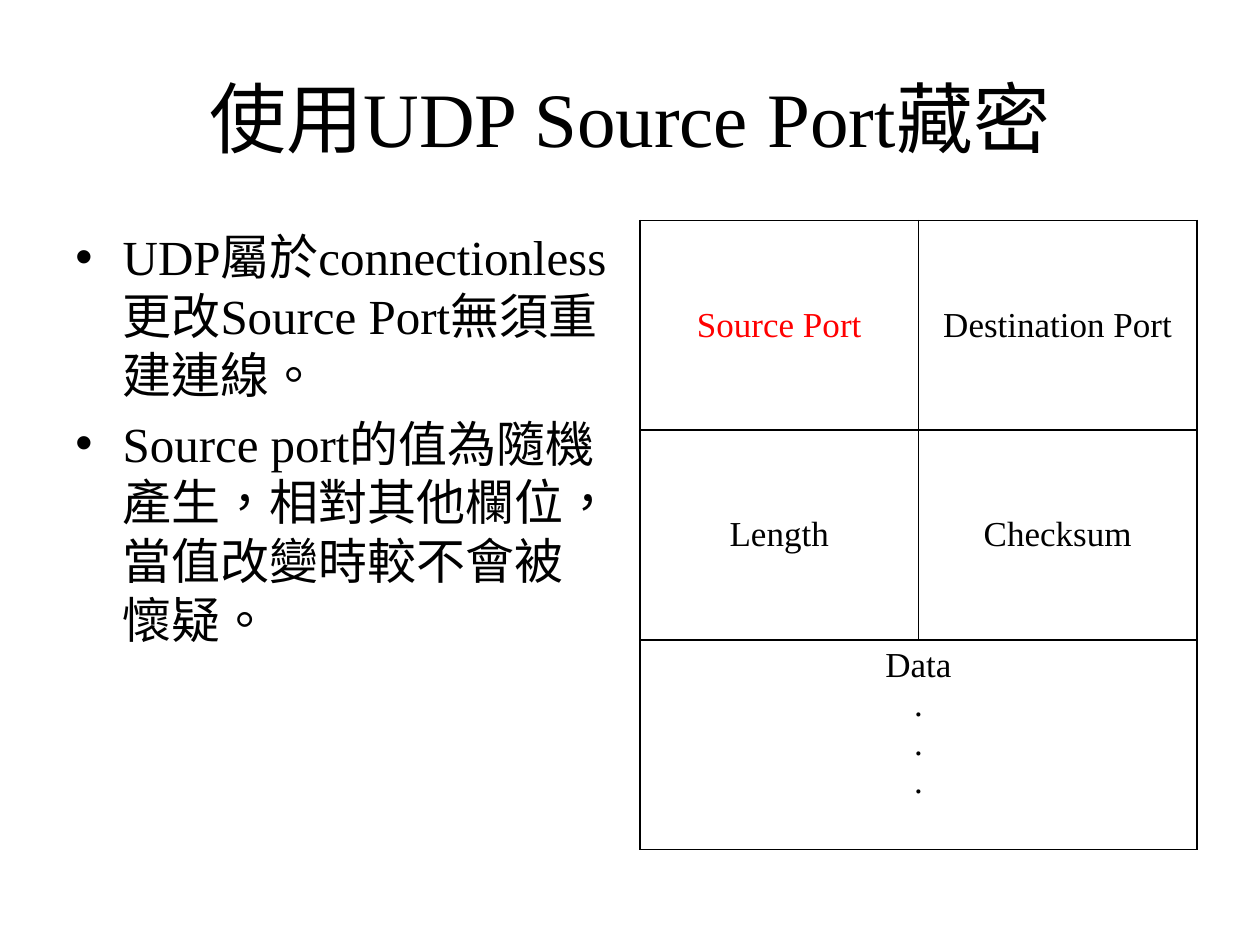
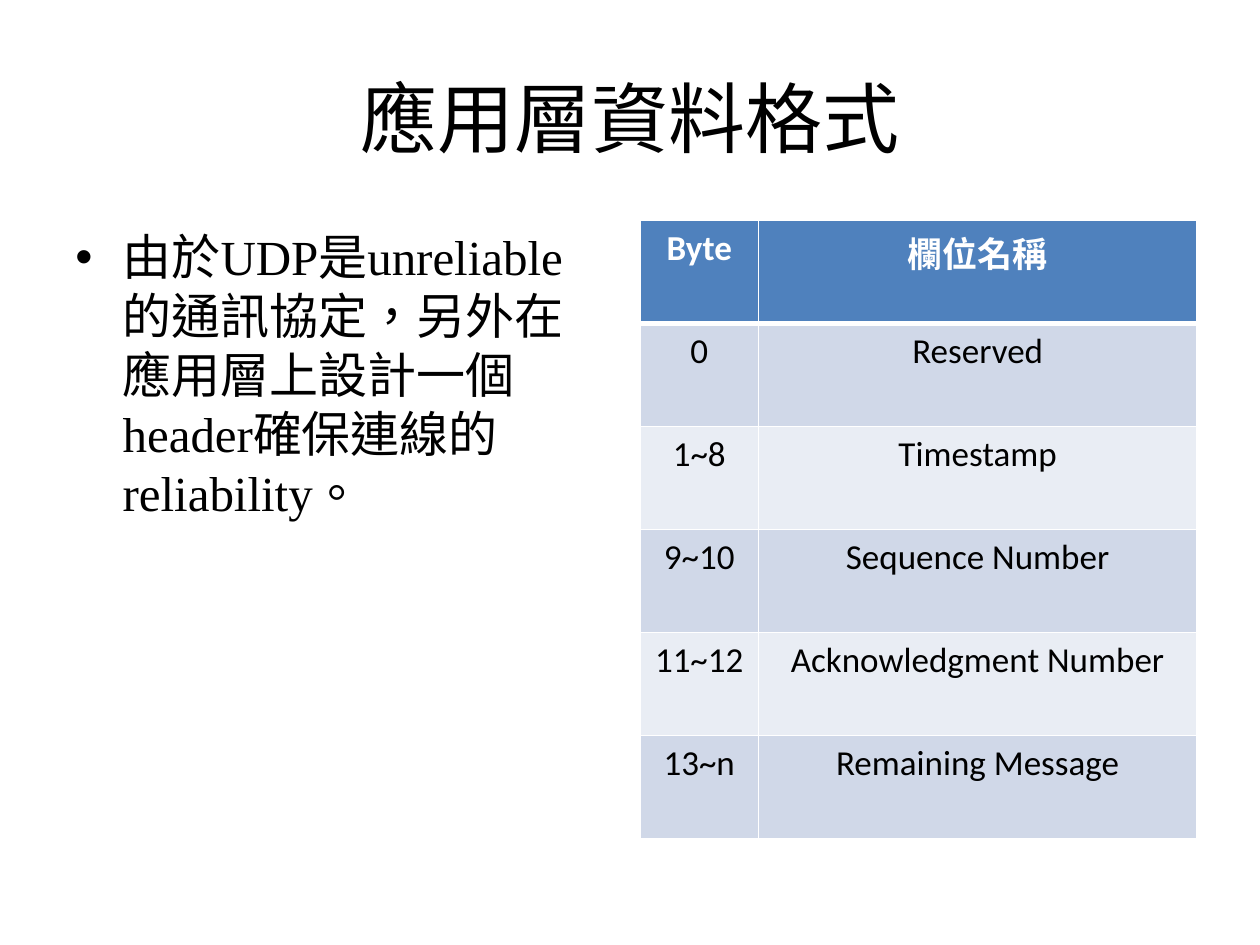
import pptx
import pptx.util
import pptx.dml.color
import pptx.enum.lang
import pptx.enum.text
import pptx.oxml
import pptx.oxml.ns

Pt = pptx.util.Pt
ANCHOR = pptx.enum.text.MSO_ANCHOR
CENTER = pptx.enum.text.PP_ALIGN.CENTER

SERIF, SANS = "Times New Roman", "Calibri"
COLORS = {
    "text": "000000", "paper": "FFFFFF", "highlight": "FF0000",
    "header": "4F81BD", "band_dark": "D0D8E8", "band_light": "E9EDF4",
}

# Each bullet is its first font and its segments, which alternate between the two fonts.
UDP_TITLE = ("使用UDP Source Port藏密", SERIF)
UDP_BULLETS = [
    (SERIF, ["UDP", "屬於", "connectionless", "更改", "Source Port", "無須重建連線。"]),
    (SERIF, ["Source port", "的值為隨機產生，相對其他欄位，當值改變時較不會被懷疑。"]),
]
UDP_HEADER = [
    ["Source Port", "Destination Port"],
    ["Length", "Checksum"],
    ["Data\n.\n.\n.", ""],
]

FORMAT_TITLE = ("應用層資料格式", SANS)
FORMAT_BULLETS = [
    (SANS, ["由於", "UDP", "是", "unreliable", "的通訊協定，", "另外在", "應用層上",
            "設計一個header", "確保連線的", "reliability。"]),
]
FORMAT_FIELDS = [
    ["Byte", "欄位名稱"],
    ["0", "Reserved"],
    ["1~8", "Timestamp"],
    ["9~10", "Sequence Number"],
    ["11~12", "Acknowledgment Number"],
    ["13~n", "Remaining Message"],
]

TITLE_BOX = (36, 21.6, 648, 90)
BULLET_BOX = (36, 126, 318.25, 356.5)
TABLE_LEFT, TABLE_TOP = 365.75, 126
INDENT = 27


def rgb(color):
    return pptx.dml.color.RGBColor.from_string(COLORS[color])


def style_run(run, font, size, color="text", bold=False):
    formats = {"name": font, "size": Pt(size), "bold": bold,
               "language_id": pptx.enum.lang.MSO_LANGUAGE_ID.TRADITIONAL_CHINESE}
    for key, value in formats.items():
        setattr(run.font, key, value)
    run.font.color.rgb = rgb(color)


def add_frame(slide, box, anchor):
    frame = slide.shapes.add_textbox(*map(Pt, box)).text_frame
    frame.word_wrap = True
    frame.vertical_anchor = anchor
    return frame


def add_bullet(paragraph, first_font, segments):
    paragraph.space_before = Pt(5.6)
    properties = paragraph._p.get_or_add_pPr()
    properties.set("marL", str(Pt(INDENT)))
    properties.set("indent", str(-Pt(INDENT)))
    for tag, key, value in (("buFont", "typeface", "Arial"), ("buChar", "char", "•")):
        pptx.oxml.ns.qn("a:" + tag)
        properties.append(pptx.oxml.parse_xml(
            f'<a:{tag} {pptx.oxml.ns.nsdecls("a")} {key}="{value}"/>'))
    fonts = (SERIF, SANS) if first_font == SERIF else (SANS, SERIF)
    for index, segment in enumerate(segments):
        run = paragraph.add_run()
        run.text = segment
        style_run(run, fonts[index % 2], 28)


def add_content_slide(deck, title, bullets):
    slide = deck.slides.add_slide(deck.slide_layouts[6])
    heading = add_frame(slide, TITLE_BOX, ANCHOR.MIDDLE).paragraphs[0]
    heading.alignment = CENTER
    run = heading.add_run()
    run.text, font = title
    style_run(run, font, 44)

    frame = add_frame(slide, BULLET_BOX, ANCHOR.TOP)
    for index, bullet in enumerate(bullets):
        add_bullet(frame.add_paragraph() if index else frame.paragraphs[0], *bullet)
    return slide


def set_borders(cell, color, widths):
    """Draw the left, right, top and bottom lines, which must precede the fill."""
    properties = cell._tc.get_or_add_tcPr()
    for index, (side, width) in enumerate(zip("LRTB", widths)):
        properties.insert(index, pptx.oxml.parse_xml(
            f'<a:ln{side} {pptx.oxml.ns.nsdecls("a")} w="{Pt(width)}"><a:solidFill>'
            f'<a:srgbClr val="{COLORS[color]}"/></a:solidFill></a:ln{side}>'))


def add_grid(slide, rows, column_widths, row_height):
    table = slide.shapes.add_table(
        len(rows), len(column_widths), Pt(TABLE_LEFT), Pt(TABLE_TOP),
        Pt(sum(column_widths)), Pt(row_height * len(rows))).table
    table.first_row = table.horz_banding = False
    for column, width in zip(table.columns, column_widths):
        column.width = Pt(width)
    for row in table.rows:
        row.height = Pt(row_height)
    return table


def fill_cell(cell, text, fill, font, color="text", bold=False):
    cell.fill.solid()
    cell.fill.fore_color.rgb = rgb(fill)
    cell.text = text
    for paragraph in cell.text_frame.paragraphs:
        paragraph.alignment = CENTER
        for run in paragraph.runs:
            style_run(run, font, 20, color, bold)


def add_udp_header(slide):
    table = add_grid(slide, UDP_HEADER, [159.1, 159.1], 119.8)
    data_row = len(UDP_HEADER) - 1
    for r, row in enumerate(UDP_HEADER):
        for c, text in enumerate(row):
            cell = table.cell(r, c)
            fill_cell(cell, text, "paper", SERIF,
                      "highlight" if text == "Source Port" else "text")
            cell.vertical_anchor = ANCHOR.TOP if r == data_row else ANCHOR.MIDDLE
            set_borders(cell, "text", (1, 1, 1, 1))
    table.cell(data_row, 0).merge(table.cell(data_row, 1))


def add_format_fields(slide):
    table = add_grid(slide, FORMAT_FIELDS, [67.7, 250.5], 58.9)
    for r, row in enumerate(FORMAT_FIELDS):
        is_header = r == 0
        fill = "header" if is_header else ("band_light", "band_dark")[r % 2]
        for c, text in enumerate(row):
            cell = table.cell(r, c)
            fill_cell(cell, text, fill, SANS, "paper" if is_header else "text", is_header)
            set_borders(cell, "paper", (1, 1, 3 if r == 1 else 1, 3 if is_header else 1))


def main():
    deck = pptx.Presentation()
    deck.slide_width, deck.slide_height = Pt(720), Pt(540)
    add_udp_header(add_content_slide(deck, UDP_TITLE, UDP_BULLETS))
    add_format_fields(add_content_slide(deck, FORMAT_TITLE, FORMAT_BULLETS))
    deck.save("out.pptx")


if __name__ == "__main__":
    main()
